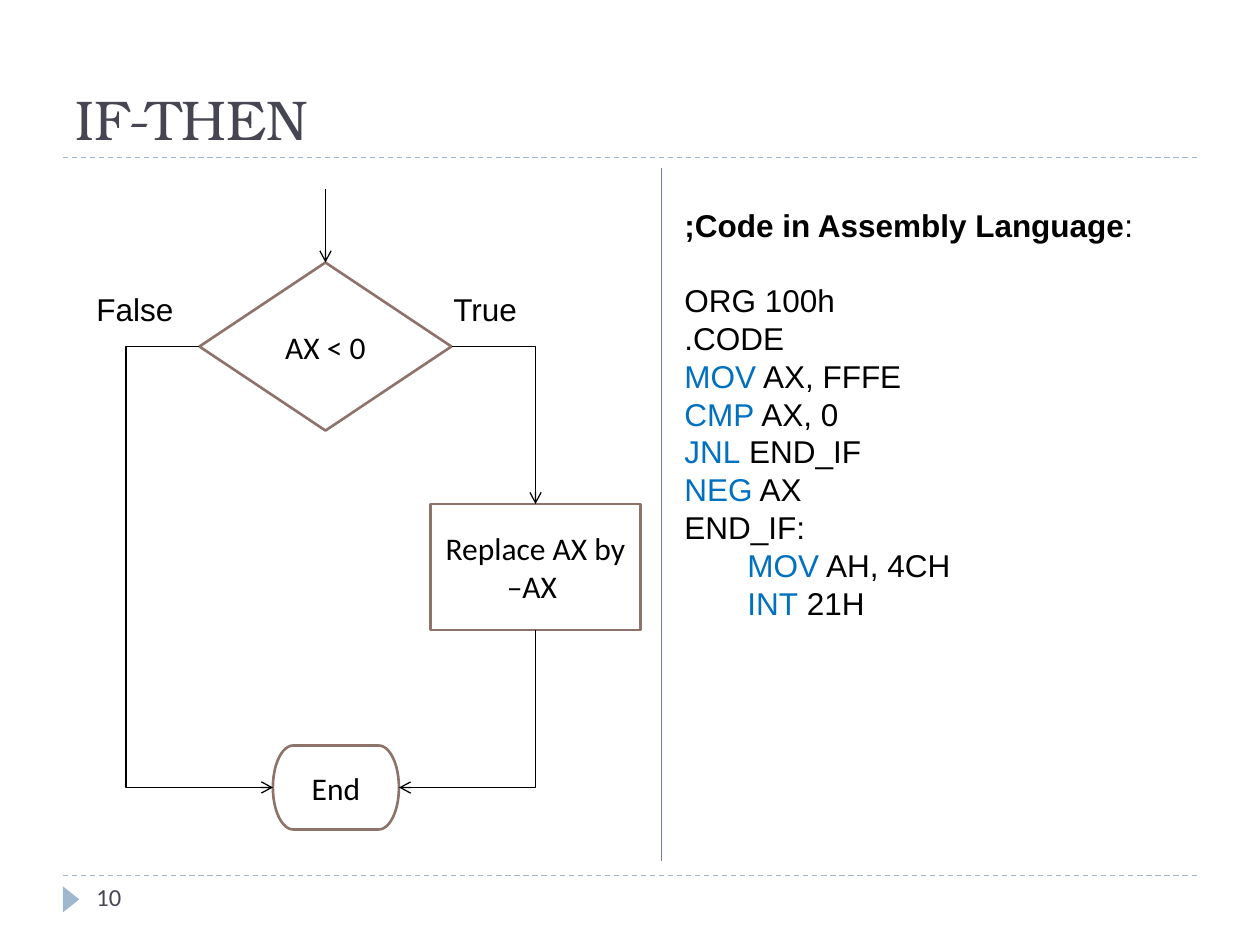
from lxml import etree
from pptx import Presentation
from pptx.dml.color import RGBColor
from pptx.enum import dml, shapes, text
from pptx.oxml.ns import qn
from pptx.util import Pt

BLACK = RGBColor(0x00, 0x00, 0x00)
WHITE = RGBColor(0xFF, 0xFF, 0xFF)
SLATE = RGBColor(0x46, 0x46, 0x53)
PALE_BLUE = RGBColor(0x9F, 0xB8, 0xCD)
DIVIDER_BLUE = RGBColor(0x72, 0x7C, 0xA3)
BROWN = RGBColor(0x8E, 0x73, 0x6A)
KEYWORD_BLUE = RGBColor(0x00, 0x70, 0xC0)

LINE_PITCH = 21.6
INSTRUCTIONS = [
    ("", "ORG 100h"),
    ("", ".CODE"),
    ("MOV", " AX, FFFE"),
    ("CMP", " AX, 0"),
    ("JNL", " END_IF"),
    ("NEG", " AX"),
    ("", "END_IF:"),
    ("\tMOV", " AH, 4CH"),
    ("\tINT", " 21H"),
]


def add_run(paragraph, words, font="Arial", size=18, color=BLACK, bold=False):
    run = paragraph.add_run()
    run.text = words
    run.font.name = font
    run.font.size = Pt(size)
    run.font.bold = bold
    run.font.color.rgb = color


def add_text_box(slide, left, top, width, height, anchor=text.MSO_ANCHOR.TOP):
    frame = slide.shapes.add_textbox(Pt(left), Pt(top), Pt(width), Pt(height)).text_frame
    frame.word_wrap = True
    frame.vertical_anchor = anchor
    return frame


def add_label(slide, words, left, top, width=60):
    paragraph = add_text_box(slide, left, top, width, 28.8).paragraphs[0]
    paragraph.line_spacing = Pt(LINE_PITCH)
    add_run(paragraph, words)


def add_node(slide, preset, words, left, top, width, height):
    shape = slide.shapes.add_shape(preset, Pt(left), Pt(top), Pt(width), Pt(height))
    shape.shadow.inherit = False
    shape.fill.solid()
    shape.fill.fore_color.rgb = WHITE
    shape.line.color.rgb = BROWN
    shape.line.width = Pt(1.5)
    frame = shape.text_frame
    frame.word_wrap = True
    frame.vertical_anchor = text.MSO_ANCHOR.MIDDLE
    paragraph = frame.paragraphs[0]
    paragraph.alignment = text.PP_ALIGN.CENTER
    add_run(paragraph, words, font="Calibri")
    return shape


def add_line(slide, begin, end, color=BLACK, dashed=False, arrow=False,
             kind=shapes.MSO_CONNECTOR.STRAIGHT):
    line = slide.shapes.add_connector(kind, *map(Pt, begin + end))
    line.line.color.rgb = color
    line.line.width = Pt(0.75)
    if dashed:
        line.line.dash_style = dml.MSO_LINE.DASH
    if arrow:
        tail = etree.SubElement(line.line._get_or_add_ln(), qn("a:tailEnd"))
        tail.set("type", "arrow")
    etree.SubElement(line._element.spPr, qn("a:effectLst"))
    return line


def add_elbow(slide, begin, end, preset="bentConnector2", bend=None, rotation=0):
    """Bent arrow; bend is the place of the middle leg as a share of the width."""
    line = add_line(slide, begin, end, arrow=True, kind=shapes.MSO_CONNECTOR.ELBOW)
    properties = line._element.spPr
    geometry = properties.find(qn("a:prstGeom"))
    geometry.set("prst", preset)
    if bend is not None:
        guides = geometry.get_or_add_avLst()
        guide = etree.SubElement(guides, qn("a:gd"))
        guide.set("name", "adj1")
        guide.set("fmla", f"val {round(bend * 100000)}")
    if rotation:
        properties.find(qn("a:xfrm")).set("rot", str(rotation * 60000))


def add_down_left_elbow(slide, begin, end):
    """A right-then-down elbow turned by 90 degrees about its centre."""
    (x1, y1), (x2, y2) = begin, end
    center_x, center_y = (x1 + x2) / 2, (y1 + y2) / 2
    half_width, half_height = (y2 - y1) / 2, (x1 - x2) / 2
    add_elbow(slide, (center_x - half_width, center_y - half_height),
              (center_x + half_width, center_y + half_height), rotation=90)


def add_frame(slide):
    for y in (500.4, 90):
        add_line(slide, (36, y), (684, y), PALE_BLUE, dashed=True)
    marker = slide.shapes.add_shape(shapes.MSO_SHAPE.ISOSCELES_TRIANGLE,
                                    Pt(33.1), Pt(509.2), Pt(15), Pt(9.4))
    marker.rotation = 90
    marker.shadow.inherit = False
    marker.fill.solid()
    marker.fill.fore_color.rgb = PALE_BLUE
    marker.line.fill.background()
    title = add_text_box(slide, 36, 12, 648, 78, text.MSO_ANCHOR.BOTTOM)
    add_run(title.paragraphs[0], "IF-THEN", font="TeX Gyre Bonum", size=32, color=SLATE)
    number = add_text_box(slide, 48, 500.4, 156, 28.8)
    add_run(number.paragraphs[0], "10", font="Calibri", size=14, color=SLATE)


def add_flowchart(slide):
    decision = add_node(slide, shapes.MSO_SHAPE.FLOWCHART_DECISION,
                        "AX < 0", 114, 150, 144, 96)
    entry = add_line(slide, (186, 108), (186, 150), arrow=True)
    entry.end_connect(decision, 0)
    add_node(slide, shapes.MSO_SHAPE.FLOWCHART_TERMINATOR, "End", 156, 426, 72, 48)
    add_elbow(slide, (114, 198), (156, 450), "bentConnector3", bend=-1)
    add_node(slide, shapes.MSO_SHAPE.FLOWCHART_PROCESS,
             "Replace AX by –AX ", 246, 288, 120, 72)
    add_elbow(slide, (258, 198), (306, 288))
    add_down_left_elbow(slide, (306, 360), (228, 450))
    add_label(slide, "False", 48, 162)
    add_label(slide, "True", 252, 162)


def add_code(slide):
    frame = add_text_box(slide, 384, 114, 306, 244.8)
    heading = frame.paragraphs[0]
    heading.line_spacing = Pt(LINE_PITCH)
    heading.space_after = Pt(LINE_PITCH)
    add_run(heading, ";Code in Assembly Language", bold=True)
    add_run(heading, ":")
    for keyword, rest in INSTRUCTIONS:
        paragraph = frame.add_paragraph()
        paragraph.line_spacing = Pt(LINE_PITCH)
        if keyword:
            add_run(paragraph, keyword, color=KEYWORD_BLUE)
        add_run(paragraph, rest)


def main():
    presentation = Presentation()
    presentation.slide_width, presentation.slide_height = Pt(720), Pt(540)
    slide = presentation.slides.add_slide(presentation.slide_layouts[6])
    add_frame(slide)
    add_flowchart(slide)
    add_code(slide)
    add_line(slide, (378, 96), (378, 492), DIVIDER_BLUE)
    presentation.save("out.pptx")


if __name__ == "__main__":
    main()
